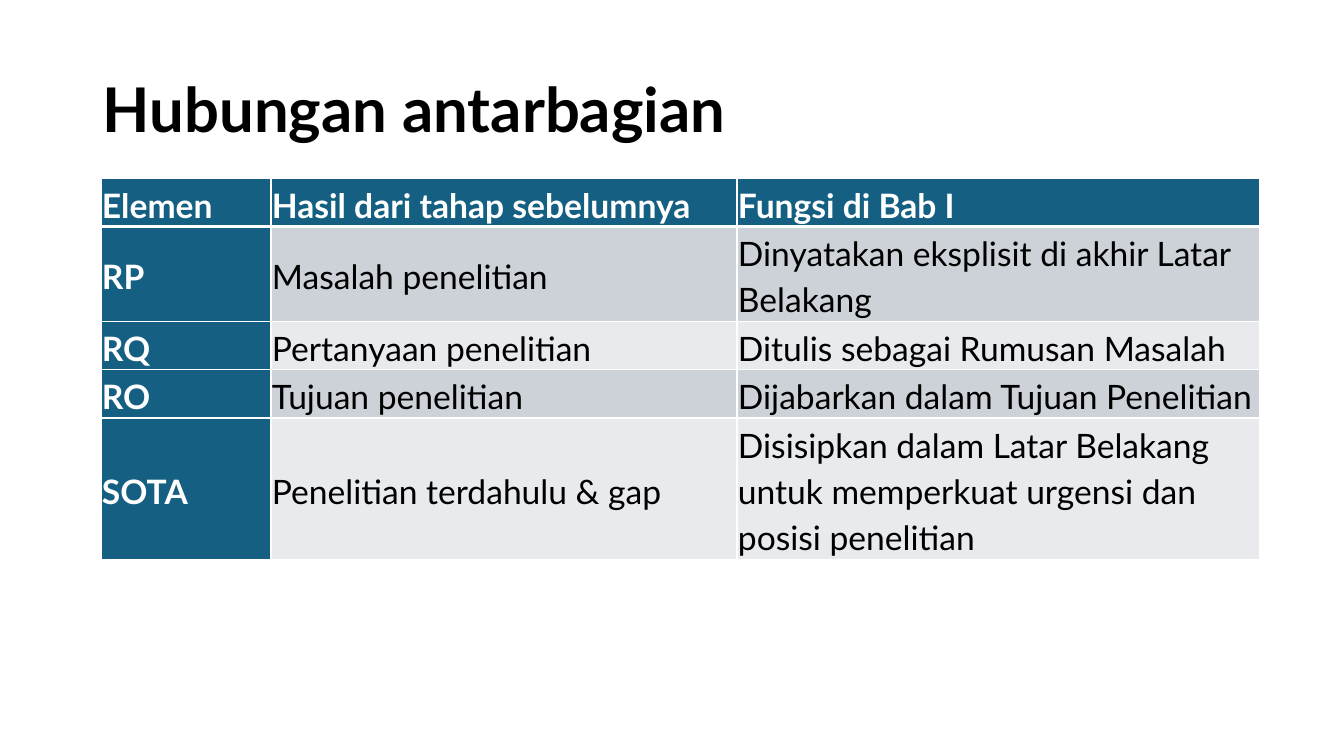
from lxml import etree
from pptx import Presentation
from pptx.dml.color import RGBColor
from pptx.enum.text import MSO_ANCHOR as Anchor
from pptx.oxml.ns import qn
from pptx.util import Pt

TITLE = "Hubungan antarbagian"
ROWS = [
    ("Elemen", "Hasil dari tahap sebelumnya", "Fungsi di Bab I"),
    ("RP", "Masalah penelitian", "Dinyatakan eksplisit di akhir Latar Belakang"),
    ("RQ", "Pertanyaan penelitian", "Ditulis sebagai Rumusan Masalah"),
    ("RO", "Tujuan penelitian", "Dijabarkan dalam Tujuan Penelitian"),
    ("SOTA", "Penelitian terdahulu & gap",
     "Disisipkan dalam Latar Belakang untuk memperkuat urgensi dan posisi penelitian"),
]
COLUMN_WIDTHS = [170, 466, 523]
ROW_HEIGHTS = [48, 95, 48, 48, 141]
SLIDE_SIZE = (1344, 756)
TITLE_BOX = (93, 40, 1159, 146)
TABLE_CORNER = (101, 178)
CELL_MARGIN = 1
FONT = "Lato"
COLORS = {
    "black": "000000",
    "white": "FFFFFF",
    "teal": "156082",
    "dark_band": "CCD2D8",
    "light_band": "E8EAED",
}


def px(length):
    return round(length * 914400 / 100.8)


def write_text(frame, text, size, color, bold, line_spacing, space_after=0):
    frame.word_wrap = True
    frame.vertical_anchor = Anchor.MIDDLE
    paragraph = frame.paragraphs[0]
    paragraph.line_spacing = line_spacing
    paragraph.space_after = Pt(space_after)
    run = paragraph.add_run()
    run.text = text
    run.font.name = FONT
    run.font.size = Pt(size)
    run.font.bold = bold
    run.font.color.rgb = RGBColor.from_string(COLORS[color])


def set_borders(cell, widths):
    properties = cell._tc.get_or_add_tcPr()
    for index, (side, width) in enumerate(widths.items()):
        line = etree.Element(qn(f"a:ln{side}"), w=str(Pt(width)))
        fill = etree.SubElement(line, qn("a:solidFill"))
        etree.SubElement(fill, qn("a:srgbClr"), val=COLORS["white"])
        properties.insert(index, line)


def add_title(slide):
    box = slide.shapes.add_textbox(*map(px, TITLE_BOX))
    write_text(box.text_frame, TITLE, size=44, color="black", bold=True, line_spacing=0.9)


def add_relation_table(slide):
    size = (sum(COLUMN_WIDTHS), sum(ROW_HEIGHTS))
    table = slide.shapes.add_table(
        len(ROWS), len(COLUMN_WIDTHS), *map(px, TABLE_CORNER + size)).table
    table.first_col = True
    for column, width in zip(table.columns, COLUMN_WIDTHS):
        column.width = px(width)
    for row, height in zip(table.rows, ROW_HEIGHTS):
        row.height = px(height)
    for row_index, texts in enumerate(ROWS):
        band = "dark_band" if row_index % 2 else "light_band"
        for column_index, text in enumerate(texts):
            heading = row_index == 0 or column_index == 0
            cell = table.cell(row_index, column_index)
            cell.margin_left = cell.margin_right = px(CELL_MARGIN)
            cell.margin_top = cell.margin_bottom = px(CELL_MARGIN)
            cell.vertical_anchor = Anchor.MIDDLE
            cell.fill.solid()
            cell.fill.fore_color.rgb = RGBColor.from_string(
                COLORS["teal" if heading else band])
            write_text(cell.text_frame, text, size=24,
                       color="white" if heading else "black", bold=heading,
                       line_spacing=1.15, space_after=8)
            set_borders(cell, {"L": 1, "R": 1,
                               "T": 3 if row_index == 1 else 1,
                               "B": 3 if row_index == 0 else 1})


def main():
    presentation = Presentation()
    presentation.slide_width, presentation.slide_height = map(px, SLIDE_SIZE)
    slide = presentation.slides.add_slide(presentation.slide_layouts[6])
    add_title(slide)
    add_relation_table(slide)
    presentation.save("out.pptx")


if __name__ == "__main__":
    main()
